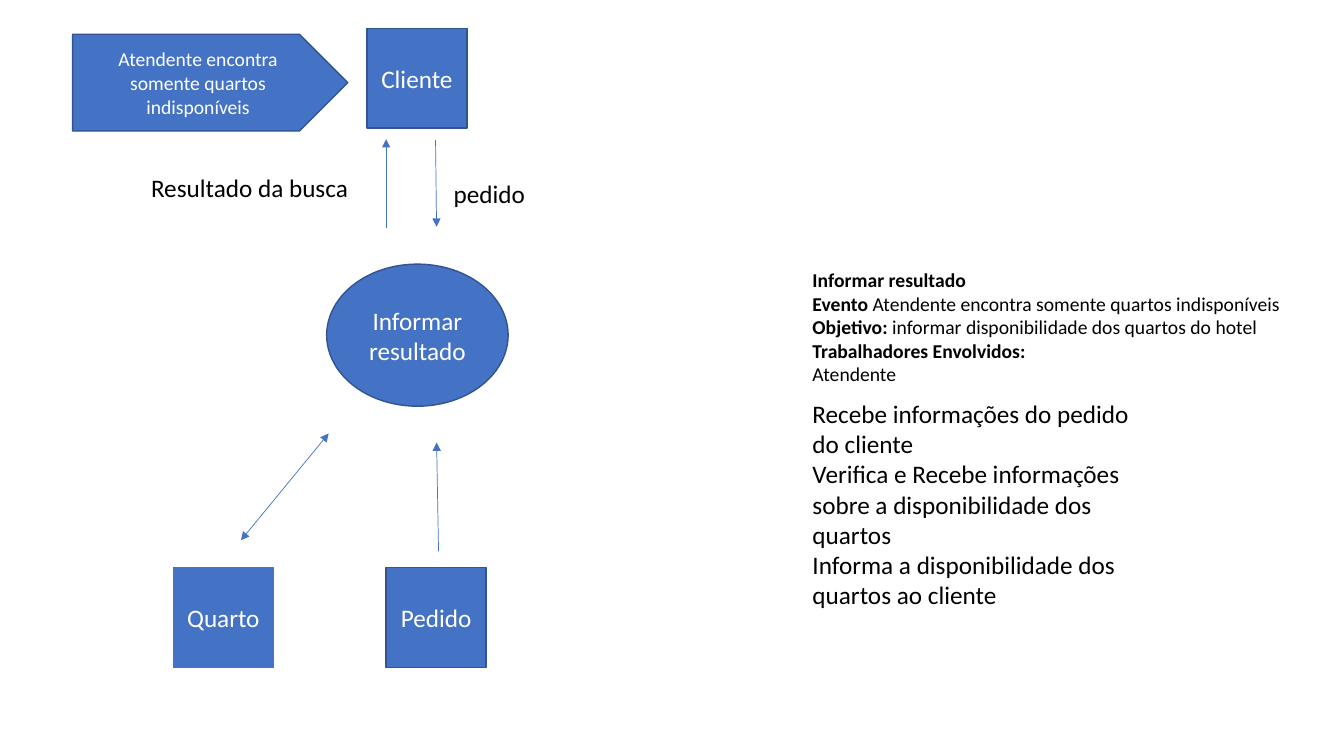
from lxml import etree
from pptx import Presentation
from pptx.dml.color import RGBColor
from pptx.enum import shapes, text
from pptx.oxml.ns import qn
from pptx.util import Inches, Pt

COLOURS = {"blue": "4472C4", "outline": "325491", "white": "FFFFFF", "black": "000000"}
FONT = "Calibri"
SHAPE = shapes.MSO_SHAPE
ALIGN = text.PP_ALIGN
SQUARE = 0.99
ENTITY_TOP = 5.63

NODES = [
    ("Cliente", SHAPE.RECTANGLE, (3.64, 0.28, SQUARE, SQUARE), 18, "outline"),
    ("Informar resultado", SHAPE.OVAL, (3.24, 2.62, 1.8, 1.41), 18, "outline"),
    ("Atendente encontra somente quartos indisponíveis", SHAPE.PENTAGON,
     (0.72, 0.34, 2.73, 0.96), 14, "outline"),
    ("Quarto", SHAPE.RECTANGLE, (1.72, ENTITY_TOP, SQUARE, SQUARE), 18, "blue"),
    ("Pedido", SHAPE.RECTANGLE, (3.83, ENTITY_TOP, SQUARE, SQUARE), 18, "outline"),
]
ARROWS = [
    ((4.32, 1.39), (4.33, 2.25), ["tailEnd"]),
    ((4.35, 5.47), (4.33, 4.39), ["tailEnd"]),
    ((3.83, 2.26), (3.83, 1.38), ["tailEnd"]),
    ((2.39, 5.36), (3.26, 4.3), ["headEnd", "tailEnd"]),
]
DESCRIPTION = [
    [("Informar resultado", True)],
    [("Evento\u00a0", True), ("Atendente encontra somente quartos indisponíveis", False)],
    [("Objetivo:", True), ("\u00a0informar disponibilidade dos quartos do hotel", False)],
    [("Trabalhadores Envolvidos:", True)],
    [("Atendente", False)],
]
STEPS = [
    [("Recebe informações do pedido do cliente", False)],
    [("Verifica e Recebe informações sobre a disponibilidade dos quartos", False)],
    [("Informa a disponibilidade dos quartos ao cliente", False)],
]
TEXTS = [
    (DESCRIPTION, (7.96, 2.61, 6.15, 1.28), 14, ALIGN.JUSTIFY),
    ([[("Resultado da busca", False)]], (1.4, 1.66, 3, 0.4), 18, ALIGN.LEFT),
    ([[("pedido", False)]], (4.4, 1.72, 1.95, 0.4), 18, ALIGN.LEFT),
    (STEPS, (7.96, 3.9, 3.39, 2.22), 18, ALIGN.LEFT),
]


def colour(name):
    return RGBColor.from_string(COLOURS[name])


def write(frame, paragraphs, size, font_colour, alignment):
    frame.word_wrap = True
    for index, runs in enumerate(paragraphs):
        paragraph = frame.paragraphs[0] if index == 0 else frame.add_paragraph()
        paragraph.alignment = alignment
        for words, bold in runs:
            run = paragraph.add_run()
            run.text = words
            for name, value in {"name": FONT, "size": Pt(size), "bold": bold}.items():
                setattr(run.font, name, value)
            run.font.color.rgb = colour(font_colour)


def add_node(slide, label, kind, box, size, line_colour):
    shape = slide.shapes.add_shape(kind, *map(Inches, box))
    shape.shadow.inherit = False
    shape.fill.solid()
    shape.fill.fore_color.rgb = colour("blue")
    shape.line.color.rgb = colour(line_colour)
    shape.line.width = Pt(1)
    shape.text_frame.vertical_anchor = text.MSO_ANCHOR.MIDDLE
    write(shape.text_frame, [[(label, False)]], size, "white", ALIGN.CENTER)


def add_arrow(slide, start, end, tips):
    connector = slide.shapes.add_connector(
        shapes.MSO_CONNECTOR.STRAIGHT, *map(Inches, start + end))
    connector.line.color.rgb = colour("blue")
    connector.line.width = Pt(0.5)
    line = connector.line._get_or_add_ln()
    for tip in tips:
        etree.SubElement(line, qn(f"a:{tip}"), type="triangle")
    etree.SubElement(connector._element.spPr, qn("a:effectLst"))


def add_text(slide, paragraphs, box, size, alignment):
    frame = slide.shapes.add_textbox(*map(Inches, box)).text_frame
    write(frame, paragraphs, size, "black", alignment)
    frame.auto_size = text.MSO_AUTO_SIZE.SHAPE_TO_FIT_TEXT


presentation = Presentation()
presentation.slide_width = Inches(13.33)
presentation.slide_height = Inches(7.5)
slide = presentation.slides.add_slide(presentation.slide_layouts.get_by_name("Blank"))
for add, items in ((add_node, NODES), (add_arrow, ARROWS), (add_text, TEXTS)):
    for item in items:
        add(slide, *item)
presentation.save("out.pptx")
